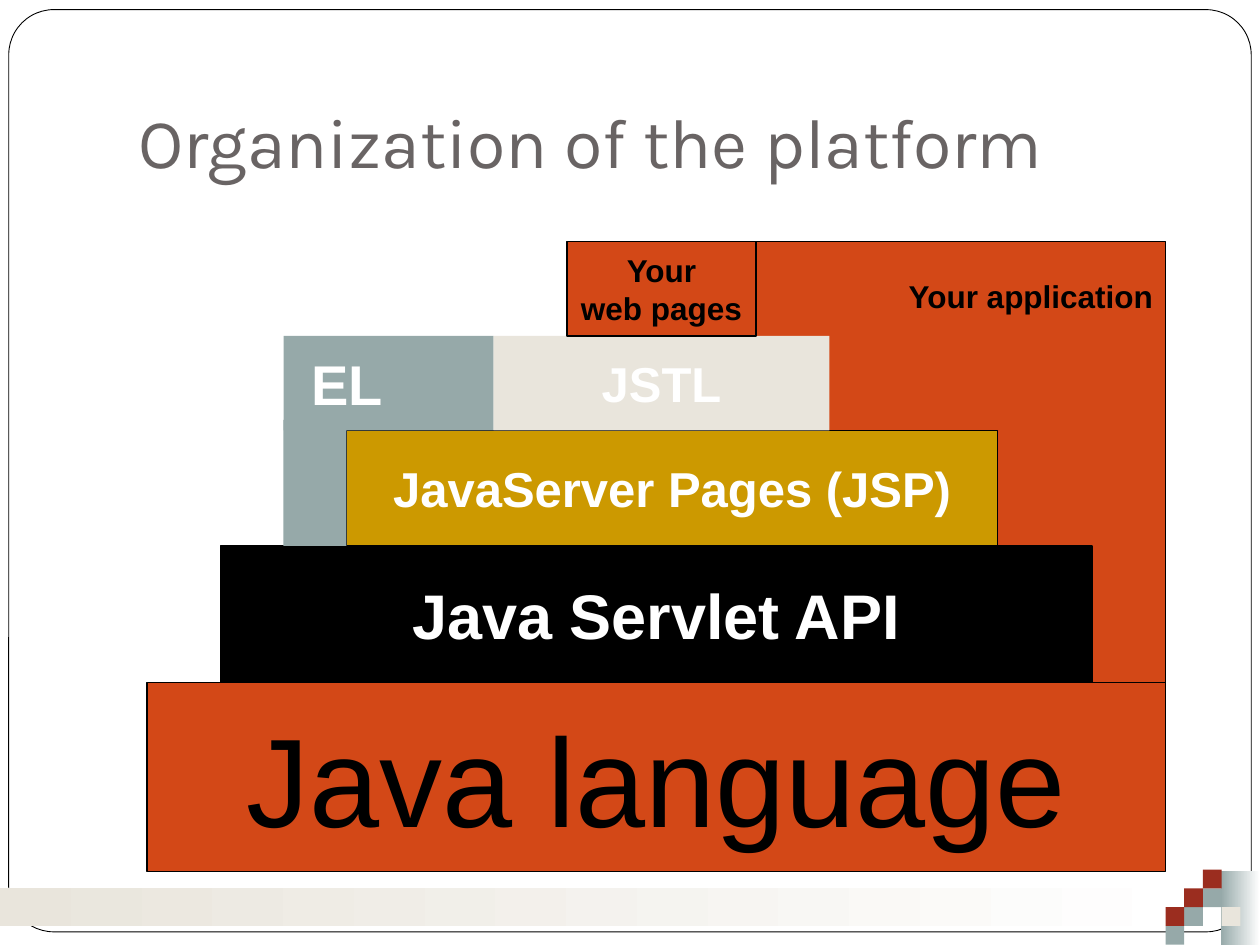
from pptx import Presentation
from pptx.dml.color import RGBColor
from pptx.enum.shapes import MSO_SHAPE
from pptx.enum.text import MSO_ANCHOR, PP_ALIGN
from pptx.util import Pt

BLACK, WHITE = "000000", "FFFFFF"
ORANGE, GOLD, TEAL, SAND, RED = "D34817", "CC9900", "96A9A9", "E9E5DC", "9B2D1F"


def color(hex_text):
    return RGBColor.from_string(hex_text)


def write(shape, text, size=18, font="Arial", ink=BLACK, bold=True, align=PP_ALIGN.CENTER,
          anchor=MSO_ANCHOR.MIDDLE, wrap=False, insets=(7.2, 3.6, 7.2, 3.6)):
    """Fill a shape with one paragraph per line; insets are left, top, right, bottom."""
    frame = shape.text_frame
    frame.text = text
    frame.word_wrap = wrap
    frame.vertical_anchor = anchor
    frame.margin_left, frame.margin_top, frame.margin_right, frame.margin_bottom = map(Pt, insets)
    for paragraph in frame.paragraphs:
        paragraph.alignment = align
        paragraph.font.name = font
        paragraph.font.size = Pt(size)
        paragraph.font.bold = bold
        paragraph.font.color.rgb = color(ink)


class SlideBuilder:
    def __init__(self, slide, line_width=0.75):
        self.slide = slide
        self.line_width = line_width

    def box(self, left, top, width, height, fill, line=None, kind=MSO_SHAPE.RECTANGLE):
        shape = self.slide.shapes.add_shape(kind, Pt(left), Pt(top), Pt(width), Pt(height))
        shape.shadow.inherit = False
        shape.fill.solid()
        shape.fill.fore_color.rgb = color(fill)
        if line:
            shape.line.color.rgb = color(line)
            shape.line.width = Pt(self.line_width)
        else:
            shape.line.fill.background()
        return shape

    def fading_box(self, left, top, width, height, start):
        """Draw a box that fades to white from left to right."""
        shape = self.box(left, top, width, height, start)
        shape.fill.gradient()
        shape.fill.gradient_angle = 0
        for stop, tone in zip(shape.fill.gradient_stops, (start, WHITE)):
            stop.color.rgb = color(tone)

    def frame(self, left, top, width, height):
        shape = self.box(left, top, width, height, WHITE, BLACK, MSO_SHAPE.ROUNDED_RECTANGLE)
        shape.adjustments[0] = 0.049
        shape.line.width = Pt(0.5)

    def label(self, left, top, width, height, text, **style):
        shape = self.slide.shapes.add_textbox(Pt(left), Pt(top), Pt(width), Pt(height))
        write(shape, text, **style)


def draw_background(builder):
    builder.frame(5, 5.5, 710, 527)
    builder.fading_box(697.5, 498, 22.5, 42, TEAL)
    builder.fading_box(0, 507.5, 687.5, 21.5, SAND)
    step = 10.7
    mosaic = [(1, 2, TEAL), (0, 3, TEAL), (0, 2, RED), (2, 1, TEAL),
              (3, 2, SAND), (1, 1, RED), (2, 0, RED)]
    for column, row, fill in mosaic:
        builder.box(666 + column * step, 497 + row * step, step, step, fill)


def draw_platform(builder):
    application = builder.box(366, 138, 300, 276, ORANGE, BLACK)
    write(application, "Your application", align=PP_ALIGN.RIGHT, anchor=MSO_ANCHOR.TOP,
          insets=(7.2, 20, 7.2, 3.6))

    layers = [
        (84, 390, 582, 108, ORANGE, BLACK, "Java language", 72, BLACK, False),
        (126, 312, 498, 78, BLACK, BLACK, "Java Servlet API", 36, WHITE, True),
        (198, 246, 372, 66, GOLD, BLACK, "JavaServer Pages (JSP)", 28, WHITE, True),
        (282, 192, 192, 54, SAND, None, "JSTL", 28, WHITE, True),
        (324, 138, 108, 54, ORANGE, BLACK, "Your\nweb pages", 18, BLACK, True),
    ]
    for left, top, width, height, fill, line, text, size, ink, bold in layers:
        layer = builder.box(left, top, width, height, fill, line)
        write(layer, text, size=size, ink=ink, bold=bold)

    expression_language = builder.box(162, 192, 120, 54, TEAL)
    write(expression_language, "EL", size=32, ink=WHITE, align=PP_ALIGN.LEFT, wrap=True,
          insets=(16, 3.6, 7.2, 3.6))
    builder.box(162, 240, 36, 72, TEAL)


def main():
    presentation = Presentation()
    presentation.slide_width, presentation.slide_height = Pt(720), Pt(540)
    builder = SlideBuilder(presentation.slides.add_slide(presentation.slide_layouts[6]))
    draw_background(builder)
    builder.label(72, 21.6, 612, 90, "Organization of the platform", size=40, font="Karla",
                  ink="696464", bold=False, align=PP_ALIGN.LEFT, anchor=MSO_ANCHOR.BOTTOM,
                  wrap=True, insets=(7.2, 3.6, 7.2, 7.2))
    draw_platform(builder)
    presentation.save("out.pptx")


if __name__ == "__main__":
    main()
